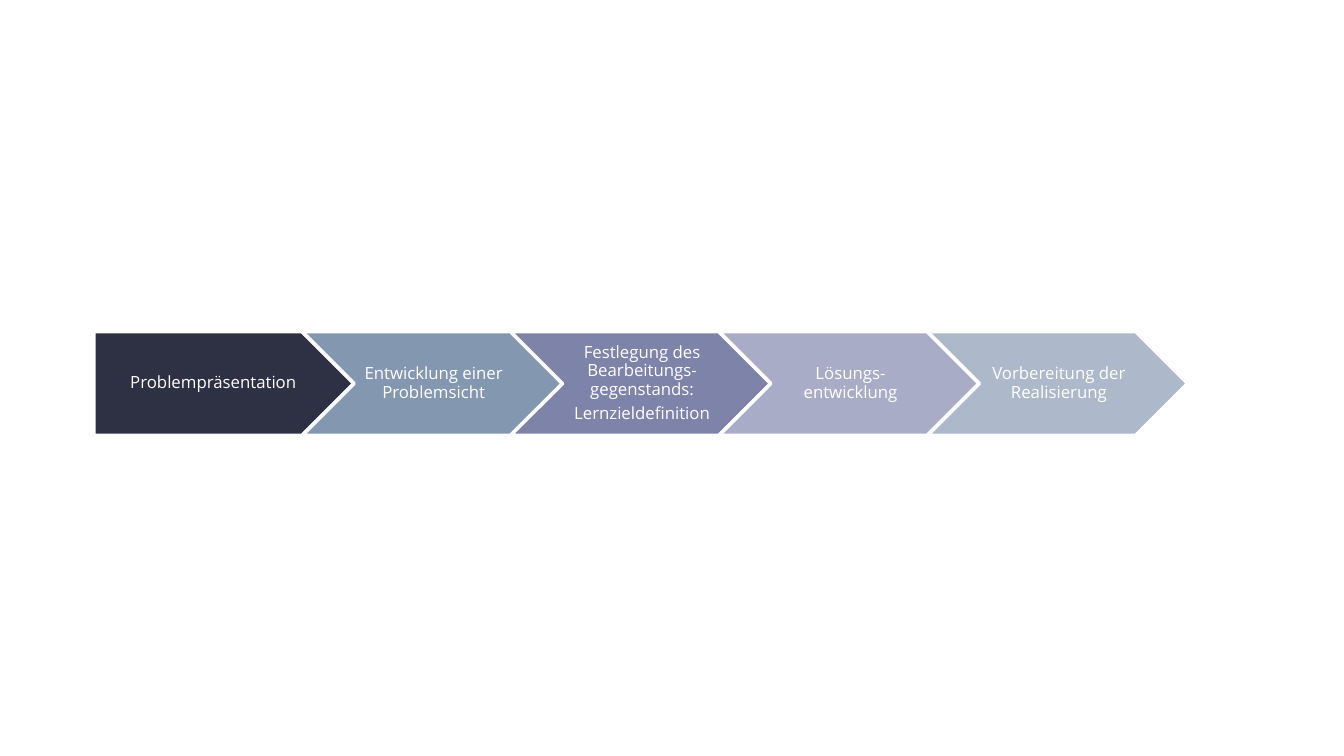
from pptx import Presentation
from pptx.dml.color import RGBColor
from pptx.enum.shapes import MSO_SHAPE as SHAPE
from pptx.enum.text import MSO_ANCHOR as ANCHOR, PP_ALIGN as ALIGN
from pptx.util import Inches, Pt

FONT = "Open Sans"
WHITE = "FFFFFF"
LEFT, TOP, WIDTH, HEIGHT = 0.93, 3.29, 2.58, 1.03
STEP = 2.067
PHASES = [
    ("2E3044", ["Problempräsentation"]),
    ("8497B0", ["Entwicklung einer Problemsicht"]),
    ("7E83A9", ["Festlegung des Bearbeitungs-gegenstands:", "Lernzieldefinition"]),
    ("A9ACC6", ["Lösungs-entwicklung"]),
    ("ADB9CA", ["Vorbereitung der Realisierung"]),
]


def color(hex_code):
    """Return the colour for a hex string."""
    return RGBColor.from_string(hex_code)


def add_label(tf, lines, left_inset):
    """Write centred white paragraphs into a phase arrow."""
    tf.word_wrap = True
    tf.vertical_anchor = ANCHOR.MIDDLE
    tf.margin_left, tf.margin_right = Inches(left_inset), Inches(0.02)
    tf.margin_top = tf.margin_bottom = Inches(0.04)
    for i, line in enumerate(lines):
        p = tf.add_paragraph() if i else tf.paragraphs[0]
        p.alignment = ALIGN.CENTER
        p.line_spacing = 0.9
        p.space_after = Pt(4.2)
        r = p.add_run()
        r.text = line
        r.font.name = FONT
        r.font.size = Pt(12)
        r.font.color.rgb = color(WHITE)


def add_phase(s, index, fill, lines):
    """Draw one arrow of the process chain."""
    first = index == 0
    kind = SHAPE.PENTAGON if first else SHAPE.CHEVRON
    sp = s.shapes.add_shape(kind, Inches(LEFT + index * STEP), Inches(TOP),
                            Inches(WIDTH), Inches(HEIGHT))
    sp.shadow.inherit = False
    sp.fill.solid()
    sp.fill.fore_color.rgb = color(fill)
    sp.line.color.rgb = color(WHITE)
    sp.line.width = Pt(2.5)
    add_label(sp.text_frame, lines, 0.07 if first else 0.05)


def main():
    """Build the slide with the five-phase process chain."""
    prs = Presentation()
    prs.slide_width, prs.slide_height = Inches(13.33), Inches(7.5)
    s = prs.slides.add_slide(prs.slide_layouts[6])
    for index, (fill, lines) in enumerate(PHASES):
        add_phase(s, index, fill, lines)
    prs.save("out.pptx")


main()
